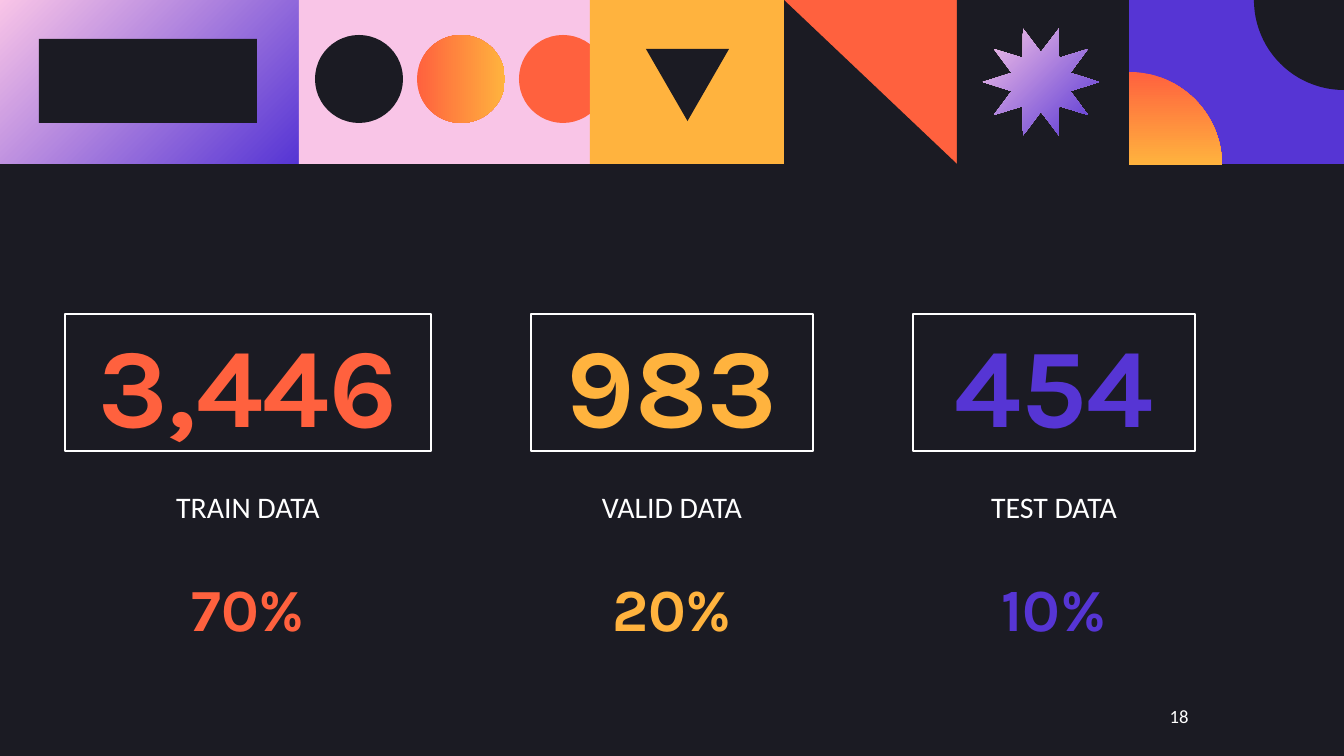
from math import cos, pi, sin

from pptx import Presentation
from pptx.dml.color import RGBColor
from pptx.enum.shapes import MSO_SHAPE
from pptx.enum.text import MSO_ANCHOR, MSO_AUTO_SIZE, PP_ALIGN
from pptx.util import Pt

COLORS = {
    "dark": "1B1B23",
    "white": "FFFFFF",
    "pink": "F9C5E7",
    "purple": "5635D4",
    "orange": "FF613E",
    "yellow": "FFB33E",
}
PX = 914400 / 134.4
SLIDE_WIDTH, SLIDE_HEIGHT = 1344, 756
BAND_HEIGHT = 164

# A fill is a colour name, or (first colour, last colour, angle).
PINK_TO_PURPLE = ("pink", "purple", 315)
PANELS = [  # left edge, fill
    (0, PINK_TO_PURPLE),
    (299, "pink"),
    (590, "yellow"),
    (784, "orange"),
    (957, "dark"),
    (1129, "purple"),
]
CIRCLES = ["dark", ("orange", "yellow", 0), "orange"]
FIRST_CIRCLE, CIRCLE_STEP, CIRCLE_SIZE = 315, 102, 88

SPLITS = [  # count, label, share, colour, centre, frame width
    ("3,446", "TRAIN DATA", "70%", "orange", 248, 366),
    ("983", "VALID DATA", "20%", "yellow", 672, 282),
    ("454", "TEST DATA", "10%", "purple", 1054, 282),
]
PAGE_NUMBER = "18"


def emu(*lengths):
    return [round(length * PX) for length in lengths]


def rgb(name):
    return RGBColor.from_string(COLORS[name])


def paint(shape, fill):
    """Give a shape a flat or gradient fill, with no outline or shadow."""
    shape.shadow.inherit = False
    shape.line.fill.background()
    if isinstance(fill, str):
        shape.fill.solid()
        shape.fill.fore_color.rgb = rgb(fill)
        return
    first, last, angle = fill
    shape.fill.gradient()
    shape.fill.gradient_angle = angle
    for stop, name in zip(shape.fill.gradient_stops, (first, last)):
        stop.color.rgb = rgb(name)


def add_preset(slide, kind, left, top, width, height, fill):
    shape = slide.shapes.add_shape(kind, *emu(left, top, width, height))
    paint(shape, fill)
    return shape


def add_polygon(slide, points, fill):
    start, *others = [emu(x, y) for x, y in points]
    builder = slide.shapes.build_freeform(*start)
    builder.add_line_segments(others, close=True)
    paint(builder.convert_to_shape(), fill)


def add_quarter(slide, x, y, radius, start, fill):
    """Add a quarter disc centred on x, y that begins at the start angle."""
    steps = 48
    angles = [start + pi / 2 * step / steps for step in range(steps + 1)]
    arc = [(x + radius * cos(a), y + radius * sin(a)) for a in angles]
    add_polygon(slide, [(x, y)] + arc, fill)


def add_star(slide, x, y, radius_x, radius_y, fill):
    tips, inner = 10, 0.53
    points = []
    for corner in range(2 * tips):
        reach = inner if corner % 2 else 1
        angle = pi * corner / tips
        points.append((x + reach * radius_x * cos(angle),
                       y + reach * radius_y * sin(angle)))
    add_polygon(slide, points, fill)


def write(box, text, size, font, color, bold=False):
    frame = box.text_frame
    frame.word_wrap = True
    frame.auto_size = MSO_AUTO_SIZE.NONE
    frame.vertical_anchor = MSO_ANCHOR.MIDDLE
    inset = emu(13)[0]
    frame.margin_left = frame.margin_right = inset
    frame.margin_top = frame.margin_bottom = inset
    para = frame.paragraphs[0]
    para.alignment = PP_ALIGN.CENTER
    span = para.add_run()
    span.text = text
    span.font.size = Pt(size)
    span.font.name = font
    span.font.bold = bold
    span.font.color.rgb = rgb(color)


def add_text(slide, center, top, width, height, *style):
    box = slide.shapes.add_textbox(*emu(center - width / 2, top, width, height))
    write(box, *style)
    return box


def draw_band(slide):
    edges = [left for left, _ in PANELS] + [SLIDE_WIDTH]
    for index, (left, fill) in enumerate(PANELS):
        if fill == "yellow":
            # The yellow panel cuts off the last circle.
            for place, circle in enumerate(CIRCLES):
                add_preset(slide, MSO_SHAPE.OVAL, FIRST_CIRCLE + place * CIRCLE_STEP,
                           35, CIRCLE_SIZE, CIRCLE_SIZE, circle)
        add_preset(slide, MSO_SHAPE.RECTANGLE, left, 0,
                   edges[index + 1] - left, BAND_HEIGHT, fill)
    add_preset(slide, MSO_SHAPE.RECTANGLE, 39, 39, 218, 84, "dark")
    triangle = add_preset(slide, MSO_SHAPE.ISOSCELES_TRIANGLE, 646, 49, 83, 72, "dark")
    triangle.rotation = 180
    add_preset(slide, MSO_SHAPE.RIGHT_TRIANGLE, 784, 0, 173, BAND_HEIGHT, "dark")
    add_star(slide, 1041, 82, 58, 56, PINK_TO_PURPLE)
    add_quarter(slide, 1129, 165, 93, -pi / 2, ("orange", "yellow", 270))
    add_quarter(slide, SLIDE_WIDTH, 0, 90, pi / 2, "dark")


def draw_splits(slide):
    for index, (count, label, share, color, center, width) in enumerate(SPLITS):
        place = emu(center - width / 2, 314, width, 137)
        if index == 0:
            box = slide.shapes.title
            box.left, box.top, box.width, box.height = place
        else:
            box = slide.shapes.add_textbox(*place)
        box.line.color.rgb = rgb("white")
        box.line.width = Pt(1.5)
        write(box, count, 60, "Karla", color, True)
        add_text(slide, center, 466, 310, 82, label, 16, "Calibri", "white")
        add_text(slide, center, 566, 222, 83, share, 32, "Karla", color, True)


def main():
    deck = Presentation()
    deck.slide_width, deck.slide_height = emu(SLIDE_WIDTH, SLIDE_HEIGHT)
    slide = deck.slides.add_slide(deck.slide_layouts[5])
    slide.background.fill.solid()
    slide.background.fill.fore_color.rgb = rgb("dark")
    draw_band(slide)
    draw_splits(slide)
    add_text(slide, 1179, 687, 81, 58, PAGE_NUMBER, 10, "Calibri", "white")
    deck.save("out.pptx")


if __name__ == "__main__":
    main()
